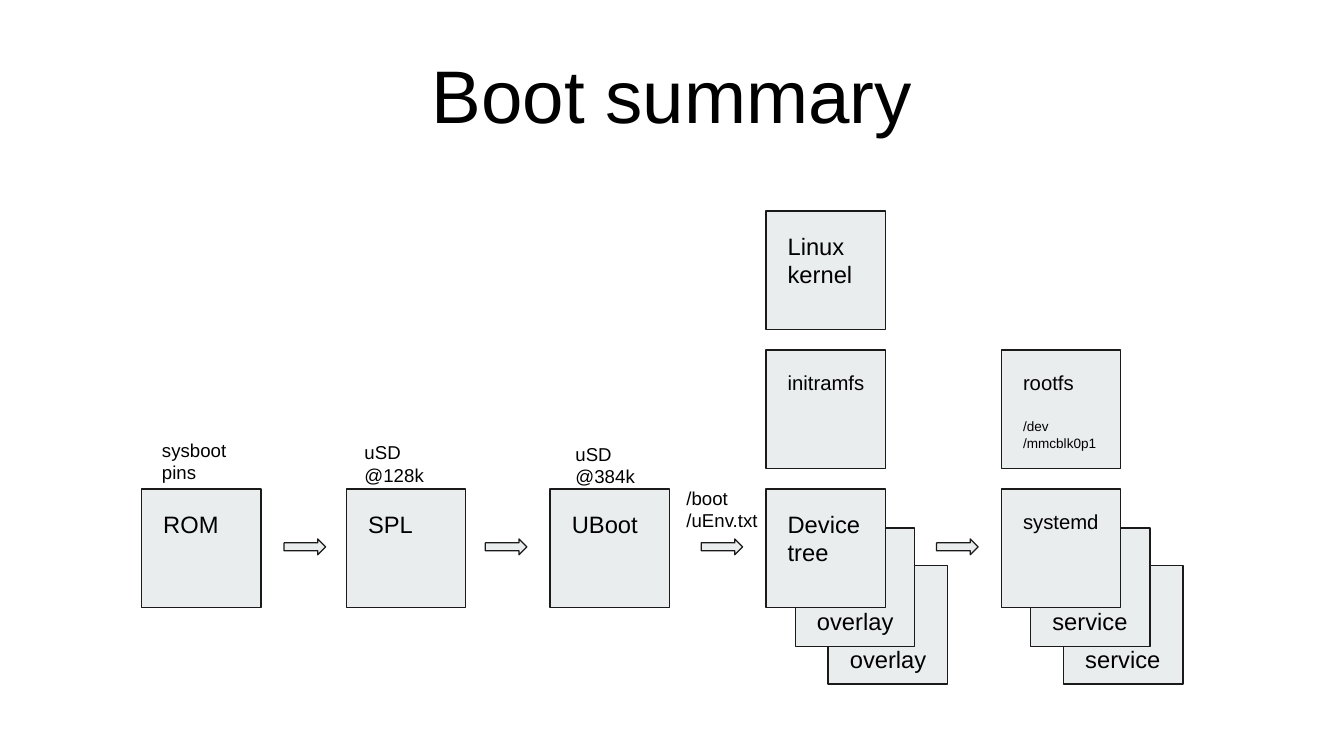
"""Build the boot summary slide as a chain of stages with stacked overlays."""
from dataclasses import dataclass

from lxml import etree
from pptx import Presentation
from pptx.dml.color import RGBColor
from pptx.enum.shapes import MSO_SHAPE
from pptx.enum.text import MSO_ANCHOR, PP_ALIGN
from pptx.oxml.ns import qn
from pptx.slide import Slide
from pptx.util import Inches, Pt

RECTANGLE = MSO_SHAPE.RECTANGLE
RIGHT_ARROW = MSO_SHAPE.RIGHT_ARROW
TOP = MSO_ANCHOR.TOP
MIDDLE = MSO_ANCHOR.MIDDLE
LEFT = PP_ALIGN.LEFT
CENTER = PP_ALIGN.CENTER


@dataclass(frozen=True)
class Theme:
    font: str = "Arial"
    text: RGBColor = RGBColor(0x00, 0x00, 0x00)
    fill: RGBColor = RGBColor(0xE9, 0xED, 0xEE)
    line: RGBColor = RGBColor(0x1A, 0x1A, 0x1A)
    line_width: float = 0.75
    title: float = 44
    large: float = 14
    medium: float = 12
    caption: float = 11
    small: float = 8


@dataclass(frozen=True)
class Span:
    text: str
    size: float
    space_before: float = 0


@dataclass(frozen=True)
class Box:
    left: float
    top: float
    width: float
    height: float


@dataclass(frozen=True)
class Card:
    column: float
    row: int
    spans: tuple[Span, ...]
    stack: str = ""


@dataclass(frozen=True)
class Caption:
    left: float
    top: float
    text: str
    height: float = 0.4


THEME = Theme()
CARD_WIDTH, CARD_HEIGHT = 0.98, 0.97
LABEL_WIDTH, LABEL_HEIGHT = 0.84, 0.83
BASE_TOP, ROW_STEP = 4.01, 1.14
STACK_OFFSETS = ((0.51, 0.63), (0.24, 0.32))
ARROW_LEFTS = (2.33, 3.98, 5.75, 7.68)
LOAD_COLUMN, ROOT_COLUMN = 6.28, 8.21

CARDS = (
    Card(1.16, 0, (Span("ROM", THEME.large),)),
    Card(2.84, 0, (Span("SPL", THEME.large),)),
    Card(4.51, 0, (Span("UBoot", THEME.large),)),
    Card(LOAD_COLUMN, 2, (Span("Linux kernel", THEME.large),)),
    Card(LOAD_COLUMN, 1, (Span("initramfs", THEME.medium),)),
    Card(LOAD_COLUMN, 0, (Span("Device tree", THEME.large),), "overlay"),
    Card(ROOT_COLUMN, 1, (
        Span("rootfs", THEME.medium),
        Span("/dev\v/mmcblk0p1", THEME.small, 13.8),
    )),
    Card(ROOT_COLUMN, 0, (Span("systemd", THEME.medium),), "service"),
)
CAPTIONS = (
    Caption(1.23, 3.5, "sysboot pins"),
    Caption(2.89, 3.52, "uSD \v@128k"),
    Caption(4.62, 3.53, "uSD \v@384k"),
    Caption(5.53, 3.89, "/boot\v/uEnv.txt", LABEL_HEIGHT),
)


def lengths(box: Box) -> list[int]:
    """Convert a box to slide lengths."""
    return [Inches(n) for n in (box.left, box.top, box.width, box.height)]


def add_block(page: Slide, kind: MSO_SHAPE, box: Box) -> None:
    """Draw a filled and outlined preset shape."""
    block = page.shapes.add_shape(kind, *lengths(box))
    block.shadow.inherit = False
    block.fill.solid()
    block.fill.fore_color.rgb = THEME.fill
    block.line.color.rgb = THEME.line
    block.line.width = Pt(THEME.line_width)


def add_text(page: Slide, box: Box, spans: tuple[Span, ...], inset: float = 0.1,
             anchor: MSO_ANCHOR = TOP, align: PP_ALIGN = LEFT) -> None:
    """Write one paragraph per span in a wrapping text box."""
    frame = page.shapes.add_textbox(*lengths(box)).text_frame
    layout = {"word_wrap": True, "vertical_anchor": anchor}
    layout |= {f"margin_{side}": Inches(inset)
               for side in ("left", "top", "right", "bottom")}
    for name, value in layout.items():
        setattr(frame, name, value)
    for index, span in enumerate(spans):
        para = frame.add_paragraph() if index else frame.paragraphs[0]
        para.text = span.text
        para.alignment = align
        if span.space_before:
            para.space_before = Pt(span.space_before)
        for run in para.runs:
            for name, value in {"name": THEME.font, "size": Pt(span.size)}.items():
                setattr(run.font, name, value)
            run.font.color.rgb = THEME.text
        for line_break in para._p.findall(qn("a:br")):
            etree.SubElement(line_break, qn("a:rPr"), sz=str(int(span.size * 100)))


def add_labelled_card(page: Slide, left: float, top: float, spans: tuple[Span, ...],
                      label_drop: float = 0.07, label_height: float = LABEL_HEIGHT) -> None:
    """Draw a card with its label."""
    add_block(page, RECTANGLE, Box(left, top, CARD_WIDTH, CARD_HEIGHT))
    label = Box(left + 0.08, top + label_drop, LABEL_WIDTH, label_height)
    add_text(page, label, spans)


def add_card(page: Slide, card: Card) -> None:
    """Draw a card in front of its optional stack."""
    top = BASE_TOP - card.row * ROW_STEP
    if card.stack:
        for across, down in STACK_OFFSETS:
            add_labelled_card(page, card.column + across, top + down,
                              (Span(card.stack, THEME.large),), 0.55, 0.34)
    add_labelled_card(page, card.column, top, card.spans)


def main() -> None:
    """Build and save the deck."""
    deck = Presentation()
    deck.slide_width, deck.slide_height = Inches(11.02), Inches(6.2)
    page = deck.slides.add_slide(deck.slide_layouts[6])
    add_text(page, Box(0.55, 0.25, 9.92, 1.03), (Span("Boot summary", THEME.title),),
             0, MIDDLE, CENTER)
    for card in CARDS:
        add_card(page, card)
    for left in ARROW_LEFTS:
        add_block(page, RIGHT_ARROW, Box(left, 4.42, 0.34, 0.13))
    for caption in CAPTIONS:
        add_text(page, Box(caption.left, caption.top, LABEL_WIDTH, caption.height),
                 (Span(caption.text, THEME.caption),))
    deck.save("out.pptx")


if __name__ == "__main__":
    main()
